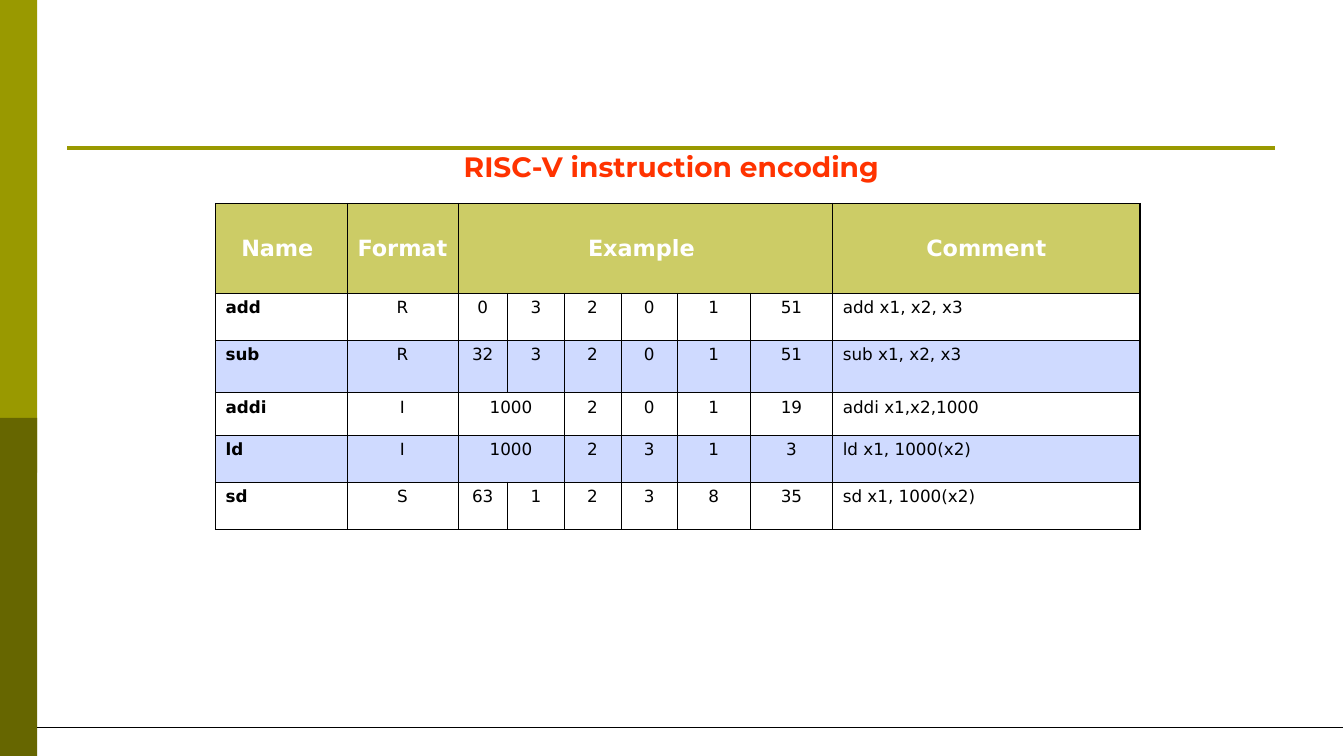
import lxml.etree
import pptx
import pptx.dml.color
import pptx.enum.shapes
import pptx.enum.text
import pptx.oxml
import pptx.oxml.ns
import pptx.util

Pt = pptx.util.Pt
ALIGN = pptx.enum.text.PP_ALIGN
ANCHOR = pptx.enum.text.MSO_ANCHOR

COLUMN_WIDTHS = [94, 79.2, 35.5, 40.5, 40.5, 40.5, 52, 59, 219.5]
ROW_HEIGHTS = [64, 33.7, 37.4, 30.4, 33.5, 33.7]
ROW_FILLS = ["CCCC66", None, "CFDAFF", "FFFFFF", "CFDAFF", "FFFFFF"]
INSTRUCTIONS = [
    ["Name ", "Format ", "Example ", None, None, None, None, None, "Comment"],
    ["add", "R", "0", "3", "2", "0", "1", "51", "add x1, x2, x3"],
    ["sub", "R", "32", "3", "2", "0", "1", "51", "sub x1, x2, x3"],
    ["addi", "I", "1000", None, "2", "0", "1", "19", "addi x1,x2,1000"],
    ["ld", "I", "1000", None, "2", "3", "1", "3", "ld x1, 1000(x2)"],
    ["sd", "S", "63", "1", "2", "3", "8", "35", "sd x1, 1000(x2)"],
]


def color(value):
    return pptx.dml.color.RGBColor.from_string(value)


class SlideBuilder:
    """Draws styled elements on one slide, with all lengths in points."""

    title_font = "Montserrat"
    table_font = "DejaVu Sans"
    thin, thick = 0.45, 1.08

    def __init__(self, slide):
        self.slide = slide

    def bar(self, left, top, width, height, fill):
        shape = self.slide.shapes.add_shape(
            pptx.enum.shapes.MSO_SHAPE.RECTANGLE, Pt(left), Pt(top), Pt(width), Pt(height))
        shape.shadow.inherit = False
        shape.fill.solid()
        shape.fill.fore_color.rgb = color(fill)
        shape.line.fill.background()

    def rule(self, left, right, y, line_color, width):
        connector = self.slide.shapes.add_connector(
            pptx.enum.shapes.MSO_CONNECTOR.STRAIGHT, Pt(left), Pt(y), Pt(right), Pt(y))
        connector.line.color.rgb = color(line_color)
        connector.line.width = Pt(width)
        lxml.etree.SubElement(connector._element.spPr, pptx.oxml.ns.qn("a:effectLst"))

    def style(self, paragraph, font_name, size, font_color, bold, alignment):
        paragraph.alignment = alignment
        for run in paragraph.runs:
            run.font.name = font_name
            run.font.size = Pt(size)
            run.font.bold = bold
            run.font.color.rgb = color(font_color)

    def title(self, text, left, top, width, height):
        text_frame = self.slide.shapes.add_textbox(
            Pt(left), Pt(top), Pt(width), Pt(height)).text_frame
        text_frame.word_wrap = True
        text_frame.margin_top = text_frame.margin_bottom = 0
        text_frame.vertical_anchor = ANCHOR.MIDDLE
        text_frame.text = text
        self.style(text_frame.paragraphs[0], self.title_font, 20, "FF3300", True, ALIGN.CENTER)

    def borders(self, cell, widths):
        properties = cell._tc.get_or_add_tcPr()
        for position, (side, width) in enumerate(zip("LRTB", widths)):
            properties.insert(position, pptx.oxml.parse_xml(
                f'<a:ln{side} {pptx.oxml.ns.nsdecls("a")} w="{Pt(width)}">'
                '<a:solidFill><a:srgbClr val="000000"/></a:solidFill>'
                f'</a:ln{side}>'))

    def cell(self, cell, text, fill, is_header, is_first, is_last):
        if fill:
            cell.fill.solid()
            cell.fill.fore_color.rgb = color(fill)
        else:
            cell.fill.background()
        edges = (is_first, is_last, is_header, False)
        self.borders(cell, [self.thick if edge else self.thin for edge in edges])
        if text is None:
            return
        cell.text_frame.text = text
        cell.vertical_anchor = ANCHOR.MIDDLE if is_header else ANCHOR.TOP
        centered = is_header or not (is_first or is_last)
        self.style(cell.text_frame.paragraphs[0], self.table_font,
                   16 if is_header else 12, "FFFFFF" if is_header else "000000",
                   is_header or is_first, ALIGN.CENTER if centered else ALIGN.LEFT)

    def table(self, left, top, rows, column_widths, row_heights, fills):
        table = self.slide.shapes.add_table(
            len(rows), len(column_widths), Pt(left), Pt(top),
            Pt(sum(column_widths)), Pt(sum(row_heights))).table
        table.first_row = table.horz_banding = False
        for column, width in zip(table.columns, column_widths):
            column.width = Pt(width)
        last = len(column_widths) - 1
        for r, texts in enumerate(rows):
            table.rows[r].height = Pt(row_heights[r])
            for c, text in enumerate(texts):
                self.cell(table.cell(r, c), text, fills[r], r == 0, c == 0, c == last)
            merged = [c for c, text in enumerate(texts) if text is None]
            if merged:
                table.cell(r, merged[0] - 1).merge(table.cell(r, merged[-1]))


def main():
    presentation = pptx.Presentation()
    presentation.slide_width = Pt(960.5)
    presentation.slide_height = Pt(540)
    builder = SlideBuilder(presentation.slides.add_slide(presentation.slide_layouts[6]))
    builder.bar(0, 0, 26.6, 337.7, "999900")
    builder.bar(0, 298.4, 26.6, 241.6, "666600")
    builder.rule(48, 911, 105.8, "999900", 3)
    builder.rule(26.6, 960, 519.6, "000000", 0.75)
    builder.title("RISC-V instruction encoding", 143.6, 107, 672.5, 24)
    builder.table(154, 145.4, INSTRUCTIONS, COLUMN_WIDTHS, ROW_HEIGHTS, ROW_FILLS)
    presentation.save("out.pptx")


if __name__ == "__main__":
    main()
